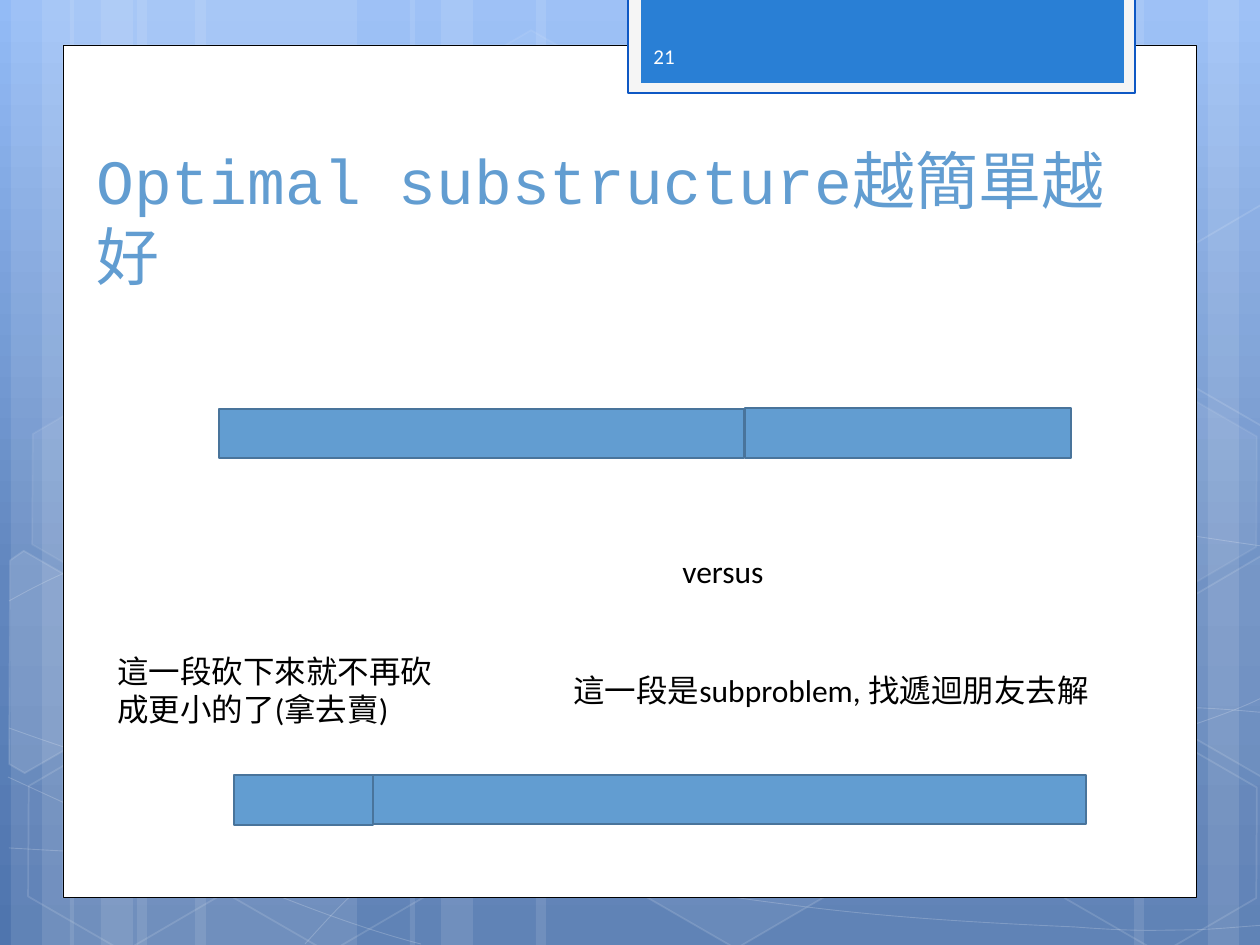
"""Build the slide comparing two ways of cutting a rod into subproblems."""
from copy import deepcopy
from dataclasses import dataclass

from lxml.etree import SubElement
from pptx import Presentation
from pptx.dml.color import RGBColor
from pptx.enum.shapes import MSO_SHAPE as Preset
from pptx.enum.text import MSO_ANCHOR as Anchor
from pptx.oxml.ns import qn
from pptx.util import Emu, Pt

EMU_PER_PX = 914400 / 126


@dataclass(frozen=True)
class Theme:
    white: str = "FFFFFF"
    black: str = "000000"
    frame: str = "F5F5F5"
    frame_edge: str = "0E58C4"
    banner: str = "297FD5"
    accent: str = "629DD1"
    accent_edge: str = "49749B"
    number: str = "FEFEFE"
    sky: tuple = ((0, "93BBF6"), (0.62, "6186BE"), (1, "4F75AE"))
    title_font: str = "Courier New"
    body_font: str = "Calibri"
    title_size: int = 36
    body_size: int = 18
    number_size: int = 12


THEME = Theme()


@dataclass(frozen=True)
class Style:
    fill: str | None = None
    fill_alpha: int = 100
    edge: str | None = None
    edge_alpha: int = 100
    edge_width: float = 1


@dataclass(frozen=True)
class Block:
    left: int
    top: int
    width: int
    height: int
    style: Style
    preset: Preset = Preset.RECTANGLE
    rotation: int = 0


@dataclass(frozen=True)
class Outline:
    points: tuple
    style: Style
    left: int = 0
    top: int = 0
    rotation: int = 0
    curved: bool = False


@dataclass(frozen=True)
class Label:
    left: int
    top: int
    width: int
    height: int
    text: str
    font: str = THEME.body_font
    size: int = THEME.body_size
    colour: str = THEME.black
    anchor: Anchor = Anchor.TOP


def px(value: int) -> Emu:
    """Turn pixels into EMU."""
    return Emu(round(value * EMU_PER_PX))


def glass(fill_alpha: int, edge_alpha: int, width: float = 1) -> Style:
    """Give a see-through white style; zero fill means an outline only."""
    fill = THEME.white if fill_alpha else None
    return Style(fill, fill_alpha, THEME.white, edge_alpha, width)


def paint(fill, colour: str | None, alpha: int) -> None:
    """Set a solid fill with opacity, or no fill."""
    if colour is None:
        fill.background()
        return
    fill.solid()
    fill.fore_color.rgb = RGBColor.from_string(colour)
    if alpha < 100:
        tone = fill._xPr.find(qn("a:solidFill"))[0]
        SubElement(tone, qn("a:alpha")).set("val", str(alpha * 1000))


def apply_style(shape, style: Style) -> None:
    """Apply fill and edge to a shape."""
    shape.shadow.inherit = False
    paint(shape.fill, style.fill, style.fill_alpha)
    paint(shape.line.fill, style.edge, style.edge_alpha)
    if style.edge:
        shape.line.width = Pt(style.edge_width)


def draw_block(page, block: Block) -> None:
    """Draw one preset shape."""
    bounds = map(px, (block.left, block.top, block.width, block.height))
    shape = page.shapes.add_shape(block.preset, *bounds)
    shape.rotation = block.rotation
    if block.preset == Preset.HEXAGON:
        shape.adjustments[0] = 0.285
    apply_style(shape, block.style)


def bend(shape) -> None:
    """Turn each three line points into a cubic curve, or one line if they coincide."""
    track = next(shape._element.iter(qn("a:path")))
    lines = track.findall(qn("a:lnTo"))
    for first in range(0, len(lines), 3):
        group = lines[first:first + 3]
        spots = [line[0] for line in group]
        straight = len({(spot.get("x"), spot.get("y")) for spot in spots}) == 1
        for line in group:
            track.remove(line)
        segment = SubElement(track, qn("a:lnTo" if straight else "a:cubicBezTo"))
        segment.extend(spots[:1] if straight else spots)


def draw_outline(page, outline: Outline) -> None:
    """Draw a polygon or an open curve."""
    start, *rest = [(px(outline.left + x), px(outline.top + y)) for x, y in outline.points]
    builder = page.shapes.build_freeform(*start)
    builder.add_line_segments(rest, close=not outline.curved)
    shape = builder.convert_to_shape()
    shape.rotation = outline.rotation
    if outline.curved:
        bend(shape)
    apply_style(shape, outline.style)


def draw_label(page, label: Label) -> None:
    """Draw one text box."""
    bounds = map(px, (label.left, label.top, label.width, label.height))
    box = page.shapes.add_textbox(*bounds)
    para = box.text_frame.paragraphs[0]
    span = para.add_run()
    span.text = label.text
    formats = {
        box.text_frame: {"word_wrap": True, "vertical_anchor": label.anchor},
        span.font: {"name": label.font, "size": Pt(label.size)},
        span.font.color: {"rgb": RGBColor.from_string(label.colour)},
    }
    for target, values in formats.items():
        for name, value in values.items():
            setattr(target, name, value)


def draw_sky(page) -> None:
    """Fill the background with the vertical gradient."""
    fill = page.background.fill
    fill.gradient()
    fill.gradient_angle = 270
    stops = next(page._element.iter(qn("a:gsLst")))
    stops.insert(1, deepcopy(stops[0]))
    for stop, (position, colour) in zip(fill.gradient_stops, THEME.sky):
        stop.position = position
        stop.color.rgb = RGBColor.from_string(colour)


STRIPS = ((137, 220), (11, 63), (42, 105), (195, 220), (70, 63), (101, 105),
          (924, 220), (1208, 63), (1134, 105), (536, 388), (410, 63), (441, 105))
CURVES = (
    ((9, 848), (77, 852), (145, 856), (239, 854), (334, 853), (451, 851), (577, 838),
     (703, 825), (882, 801), (998, 777), (1113, 753), (1231, 716), (1269, 694)),
    ((9, 601), (45, 581), (82, 562), (152, 543), (224, 524), (326, 496), (437, 488),
     (549, 479), (685, 478), (824, 488), (963, 498), (1193, 537), (1269, 547)),
    ((8, 777), (160, 847), (311, 916), (421, 944)),
    ((9, 728), (48, 742), (88, 756), (161, 776), (234, 795), (344, 827), (450, 848),
     (554, 869), (687, 892), (791, 905), (896, 919), (1008, 924), (1075, 927),
     (1140, 932), (1158, 930), (1191, 930), (1223, 929), (1246, 926), (1269, 925)),
    ((305, 944), (328, 919), (350, 893), (381, 871), (411, 848), (454, 823), (489, 805),
     (524, 788), (546, 780), (592, 767), (638, 755), (722, 737), (766, 728),
     (811, 719), (818, 719), (857, 717), (896, 713), (958, 709), (1000, 708),
     (1045, 707), (1116, 708), (1116, 708), (1201, 708), (1201, 708), (1201, 708),
     (1223, 709), (1245, 711), (1256, 712), (1268, 713), (1264, 712), (1268, 713)),
)
HEXAGONS = ((421, 45, 4, 8), (626, 742, 6, 12), (14, 745, 0, 12), (18, 393, 7, 8),
            (219, 746, 0, 12), (949, 571, 10, 12), (1051, 747, 0, 12), (1051, 396, 7, 8))
LEFT_CUT = ((0, 15), (7, 0), (119, 0), (174, 97), (119, 192), (101, 192))
RIGHT_CUT = ((0, 95), (54, 0), (66, 0), (171, 182), (166, 191), (55, 191))
CUT_HEXAGONS = ((-42, 578, 10, LEFT_CUT), (1155, 559, 4, RIGHT_CUT), (1155, 208, 0, RIGHT_CUT))
PANELS = (
    Block(63, 45, 1134, 853, Style(THEME.white, edge=THEME.black, edge_width=0.5)),
    Block(628, -2, 507, 95, Style(THEME.frame, edge=THEME.frame_edge, edge_width=1.25)),
    Block(641, -2, 483, 85, Style(THEME.banner)),
)
ROD_PIECES = ((219, 409, 525, 49), (745, 408, 326, 50), (234, 775, 139, 50), (373, 775, 713, 49))
LABELS = (
    Label(84, 141, 1081, 158, "Optimal substructure越簡單越好", THEME.title_font,
          THEME.title_size, THEME.accent, Anchor.BOTTOM),
    Label(641, 31, 184, 50, "21", size=THEME.number_size, colour=THEME.number, anchor=Anchor.MIDDLE),
    Label(105, 646, 349, 89, "這一段砍下來就不再砍成更小的了(拿去賣)"),
    Label(561, 665, 586, 50, "這一段是subproblem, 找遞迴朋友去解"),
    Label(670, 546, 134, 50, "versus"),
)


def main() -> None:
    """Build and save the deck."""
    deck = Presentation()
    deck.slide_width, deck.slide_height = px(1260), px(945)
    page = deck.slides.add_slide(deck.slide_layouts[6])
    draw_sky(page)
    rod = Style(THEME.accent, edge=THEME.accent_edge, edge_width=1.25)
    strips = [Block(x, 0, width, 945, Style(THEME.white, 10)) for x, width in STRIPS]
    hexagons = [Block(x, y, 220, 192, glass(fill, edge), Preset.HEXAGON, 30) for x, y, fill, edge in HEXAGONS]
    pieces = [Block(x, y, width, height, rod) for x, y, width, height in ROD_PIECES]
    curves = [Outline(points, glass(0, 20, 0.5), curved=True) for points in CURVES]
    cuts = [Outline(points, glass(fill, 12), x, y, 30) for x, y, fill, points in CUT_HEXAGONS]
    layers = ((draw_block, strips), (draw_outline, curves), (draw_block, hexagons[:2]),
              (draw_outline, cuts[:1]), (draw_block, hexagons[2:]), (draw_outline, cuts[1:]),
              (draw_block, PANELS), (draw_block, pieces), (draw_label, LABELS))
    for draw, items in layers:
        for item in items:
            draw(page, item)
    deck.save("out.pptx")


if __name__ == "__main__":
    main()
